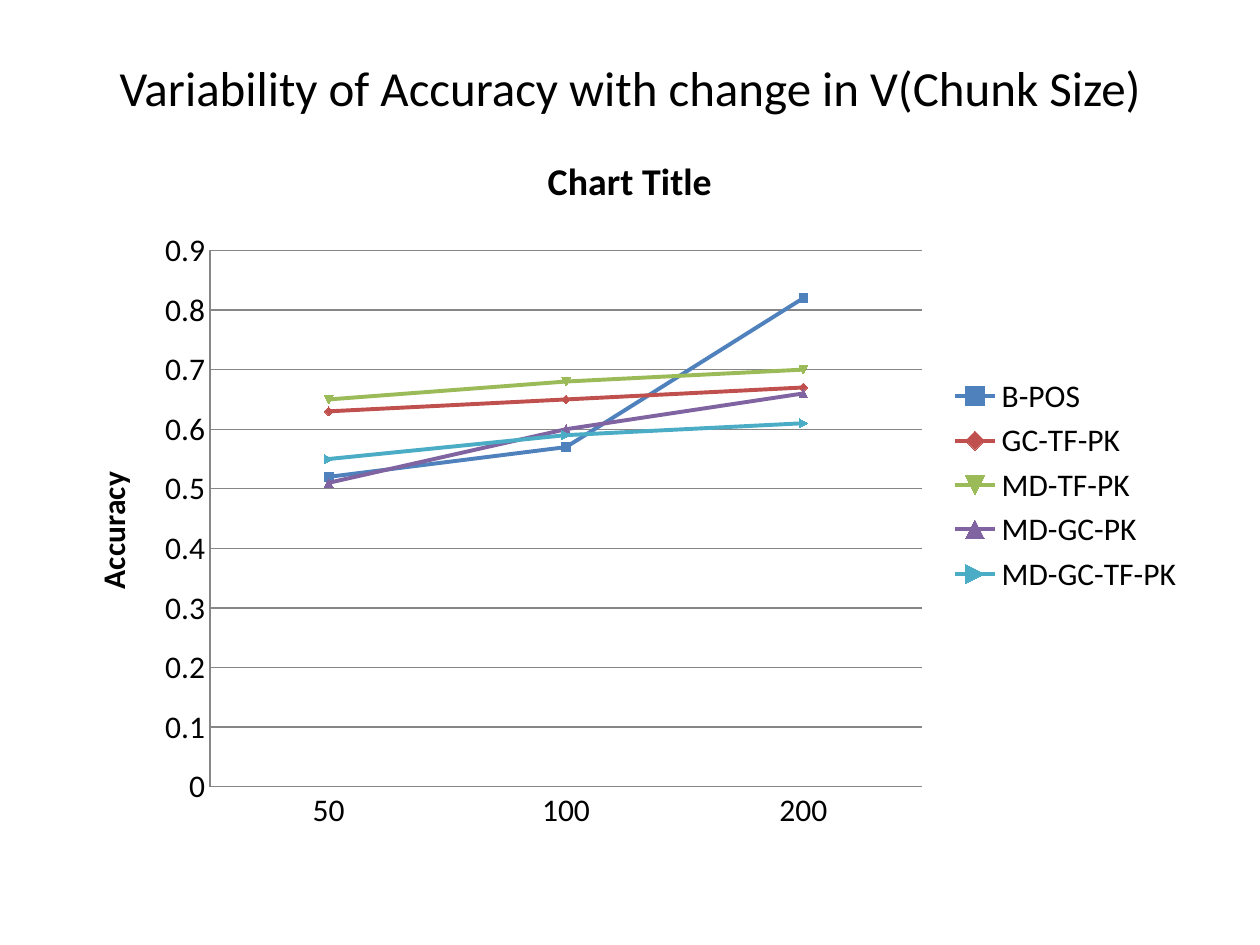
from pptx import Presentation
from pptx.chart.data import CategoryChartData
from pptx.dml.color import RGBColor
from pptx.enum.chart import XL_CHART_TYPE as ChartType
from pptx.enum.chart import XL_LEGEND_POSITION as LegendPosition
from pptx.enum.chart import XL_TICK_MARK as TickMark
from pptx.enum.text import MSO_ANCHOR, PP_ALIGN
from pptx.util import Inches, Pt

FONT = "Calibri"
BLACK = "000000"
GRAY = "868686"
CHUNK_SIZES = ["50", "100", "200"]
ACCURACY = [
    ("B-POS", "4F81BD", (0.52, 0.57, 0.82)),
    ("GC-TF-PK", "C0504D", (0.63, 0.65, 0.67)),
    ("MD-TF-PK", "9BBB59", (0.65, 0.68, 0.7)),
    ("MD-GC-PK", "8064A2", (0.51, 0.6, 0.66)),
    ("MD-GC-TF-PK", "4BACC6", (0.55, 0.59, 0.61)),
]


def set_color(color, hex_value):
    color.rgb = RGBColor.from_string(hex_value)


def style_font(font, size, bold=False):
    font.name = FONT
    font.size = Pt(size)
    font.bold = bold
    set_color(font.color, BLACK)


def style_line(line, hex_value, width):
    line.width = Pt(width)
    set_color(line.color, hex_value)


def add_heading(slide, text):
    heading = slide.shapes.title
    heading.left, heading.top = Inches(0.5), Inches(0.3)
    heading.width, heading.height = Inches(9), Inches(0.78)
    frame = heading.text_frame
    frame.text = text
    frame.vertical_anchor = MSO_ANCHOR.MIDDLE
    frame.paragraphs[0].alignment = PP_ALIGN.CENTER
    style_font(frame.paragraphs[0].runs[0].font, 28)


def set_caption(caption, text, size):
    caption.text_frame.text = text
    style_font(caption.text_frame.paragraphs[0].runs[0].font, size, bold=True)


def style_axes(chart):
    for axis in (chart.category_axis, chart.value_axis):
        axis.major_tick_mark = axis.minor_tick_mark = TickMark.NONE
        style_line(axis.format.line, GRAY, 0.75)
    accuracy_axis = chart.value_axis
    accuracy_axis.minimum_scale, accuracy_axis.maximum_scale = 0, 0.9
    accuracy_axis.major_unit = 0.1
    accuracy_axis.has_major_gridlines = True
    style_line(accuracy_axis.major_gridlines.format.line, GRAY, 0.75)
    set_caption(accuracy_axis.axis_title, "Accuracy", 18)


def style_series(series, hex_value):
    series.smooth = False
    style_line(series.format.line, hex_value, 2.25)
    series.marker.size = 5
    marker = series.marker.format
    marker.fill.solid()
    set_color(marker.fill.fore_color, hex_value)
    style_line(marker.line, hex_value, 0.75)


def add_accuracy_chart(slide):
    data = CategoryChartData(number_format="General")
    data.categories = CHUNK_SIZES
    for name, _, values in ACCURACY:
        data.add_series(name, values)
    chart = slide.shapes.add_chart(
        ChartType.LINE_MARKERS, Inches(0.5), Inches(1), Inches(9), Inches(5.7), data
    ).chart
    style_font(chart.font, 18)
    chart.plots[0].vary_by_categories = False
    set_caption(chart.chart_title, "Chart Title", 21.6)
    style_axes(chart)

    # Legend and lines
    chart.has_legend = True
    chart.legend.position = LegendPosition.RIGHT
    chart.legend.include_in_layout = False
    for series, (_, hex_value, _) in zip(chart.plots[0].series, ACCURACY):
        style_series(series, hex_value)


def main():
    deck = Presentation()
    deck.slide_width, deck.slide_height = Inches(10), Inches(7.5)
    slide = deck.slides.add_slide(deck.slide_layouts[5])
    add_heading(slide, "Variability of Accuracy with change in V(Chunk Size)")
    add_accuracy_chart(slide)
    deck.save("out.pptx")


main()
